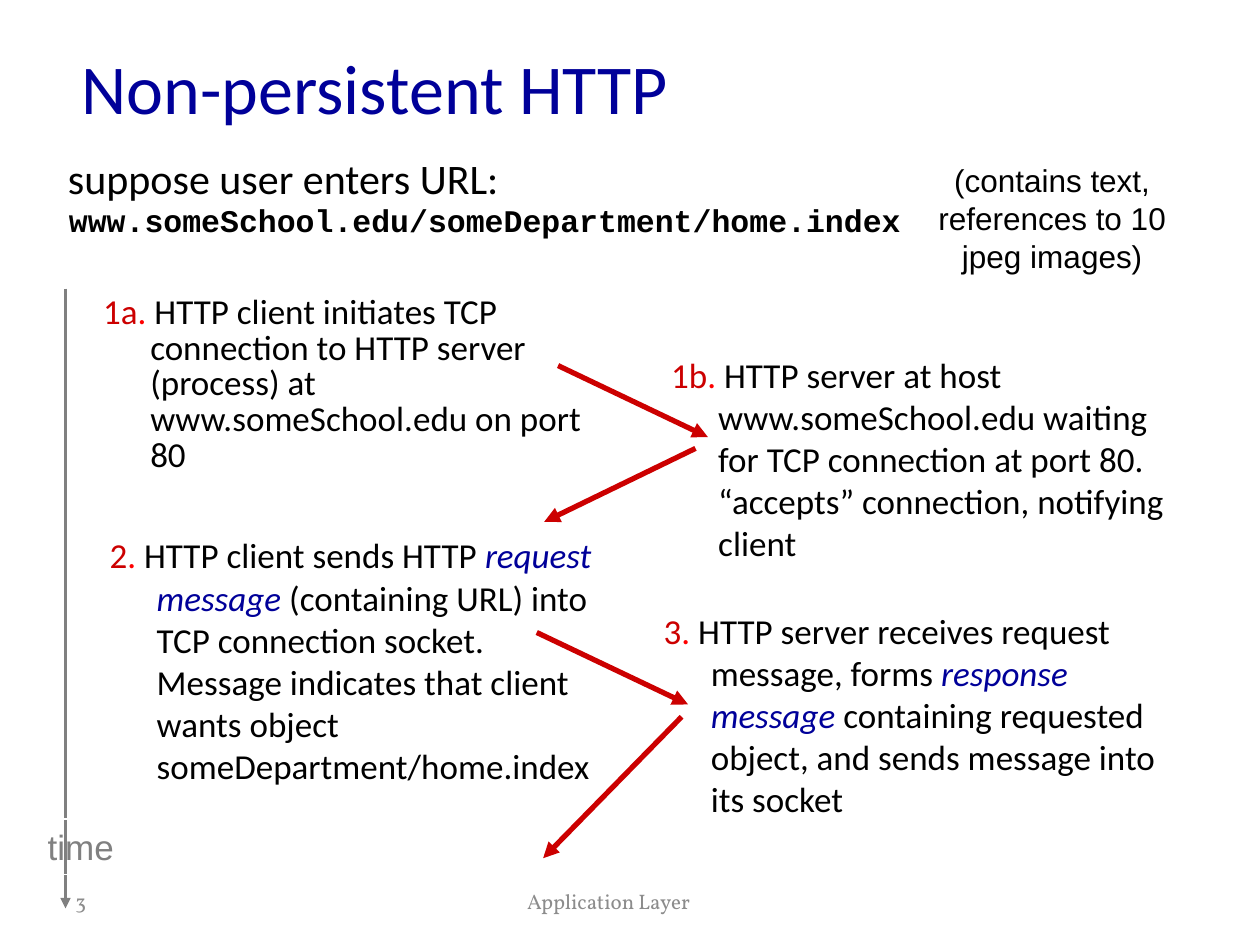
from dataclasses import dataclass

import pptx
import pptx.dml.color
import pptx.enum.shapes
import pptx.enum.text
import pptx.oxml
import pptx.oxml.ns
import pptx.util
from pptx.util import Cm

RGBColor = pptx.dml.color.RGBColor
Align = pptx.enum.text.PP_ALIGN
Anchor = pptx.enum.text.MSO_ANCHOR

BLACK = RGBColor(0x00, 0x00, 0x00)
WHITE = RGBColor(0xFF, 0xFF, 0xFF)
NAVY = RGBColor(0x00, 0x00, 0x99)
CRIMSON = RGBColor(0xCC, 0x00, 0x00)
RED = RGBColor(0xFF, 0x00, 0x00)
GRAY = RGBColor(0x80, 0x80, 0x80)
FOOTER_GRAY = RGBColor(0x8C, 0x8C, 0x8C)

HANGING_INDENT = Cm(0.95)
TIGHT = 0.85


@dataclass(frozen=True)
class Run:
    text: str
    color: RGBColor = BLACK
    italic: bool = False
    bold: bool = False


@dataclass(frozen=True)
class TextBlock:
    """Text with its frame in centimetres; each paragraph is a tuple of runs."""
    left: float
    top: float
    width: float
    height: float
    paragraphs: tuple[tuple[Run, ...], ...]
    size: int = 20
    font: str = "Calibri"
    align: Align = Align.LEFT
    anchor: Anchor = Anchor.TOP
    hanging: bool = False
    line_spacing: float = 1.0
    wrap: bool = True
    outline: RGBColor | None = None


@dataclass(frozen=True)
class Arrow:
    start: tuple[float, float]
    end: tuple[float, float]
    color: RGBColor = CRIMSON
    width: float = 3


def step(label: str, *runs: Run, left: float, top: float, height: float,
         width: float = 10.59, line_spacing: float = 1.0) -> TextBlock:
    """A numbered step: red label, then the description."""
    paragraph = (Run(label, CRIMSON), Run(".", RED), *runs)
    return TextBlock(left, top, width, height, (paragraph,), hanging=True,
                     line_spacing=line_spacing)


def emphasis(text: str) -> Run:
    return Run(text, NAVY, italic=True)


TIME_AXIS = Arrow((1.32, 5.82), (1.32, 18.31), GRAY, 1.5)

MESSAGES = (
    Arrow((11.25, 7.37), (14.27, 8.81)),
    Arrow((14.02, 9.04), (10.97, 10.52)),
    Arrow((10.82, 12.75), (13.87, 14.2)),
    Arrow((13.74, 14.45), (10.95, 17.3)),
)

TEXT_BLOCKS = (
    TextBlock(1.4, 0.53, 21.59, 2.41, ((Run("Non-persistent HTTP", NAVY),),),
              size=40, anchor=Anchor.MIDDLE),
    TextBlock(1.12, 3.1, 22.07, 1.3, ((Run("suppose user enters URL:"),),),
              size=24, hanging=True, line_spacing=TIGHT),
    TextBlock(1.14, 4.04, 22.07, 1.3,
              ((Run("www.someSchool.edu/someDepartment/home.index", bold=True),),),
              size=18, font="Courier New", hanging=True, line_spacing=TIGHT),
    TextBlock(18.57, 3.12, 5.28, 2.54,
              ((Run("(contains text,"),), (Run("references to 10"),),
               (Run("jpeg images)"),)),
              size=18, font="Arial", align=Align.CENTER, wrap=False),
    step("1a", Run(" HTTP client initiates TCP connection to HTTP server (process) "
                   "at www.someSchool.edu on port 80"),
         left=1.83, top=5.84, width=10.95, height=5.28, line_spacing=TIGHT),
    step("1b", Run(" HTTP server at host www.someSchool.edu waiting for TCP "
                   "connection at port 80. “accepts” connection, notifying client"),
         left=13.28, top=7.01, height=4.19),
    step("2", Run(" HTTP client sends HTTP "), emphasis("request message"),
         Run(" (containing URL) into TCP connection socket. Message indicates "
             "that client wants object someDepartment/home.index"),
         left=1.96, top=10.64, height=3),
    step("3", Run(" HTTP server receives request message, forms "),
         emphasis("response message"),
         Run(" containing requested object, and sends message into its socket"),
         left=13.13, top=12.17, height=5),
    TextBlock(0.69, 16.51, 1.88, 1.12, ((Run("time", GRAY),),), font="Arial",
              align=Align.CENTER, wrap=False, outline=WHITE),
    TextBlock(1.27, 17.65, 2.97, 1.02, ((Run("3", FOOTER_GRAY),),),
              size=12, font="Vollkorn", anchor=Anchor.MIDDLE),
    TextBlock(4.65, 17.65, 15.24, 1.02, ((Run("Application Layer", FOOTER_GRAY),),),
              size=12, font="Vollkorn", align=Align.CENTER, anchor=Anchor.MIDDLE),
)


def draw_text(slide: pptx.slide.Slide, block: TextBlock) -> None:
    shape = slide.shapes.add_textbox(Cm(block.left), Cm(block.top),
                                     Cm(block.width), Cm(block.height))
    if block.outline is not None:
        shape.line.color.rgb = block.outline
        shape.line.width = pptx.util.Pt(0.75)
    frame = shape.text_frame
    frame.text = "\n".join("".join(run.text for run in runs)
                           for runs in block.paragraphs)
    frame.word_wrap = block.wrap
    frame.vertical_anchor = block.anchor
    for paragraph, runs in zip(frame.paragraphs, block.paragraphs):
        paragraph.alignment = block.align
        paragraph.line_spacing = block.line_spacing
        if block.hanging:
            properties = paragraph._p.get_or_add_pPr()
            properties.set("marL", str(HANGING_INDENT))
            properties.set("indent", str(-HANGING_INDENT))
        paragraph.clear()
        for content in runs:
            run = paragraph.add_run()
            run.text = content.text
            run.font.name = block.font
            run.font.size = pptx.util.Pt(block.size)
            run.font.color.rgb = content.color
            run.font.italic = content.italic
            run.font.bold = content.bold


def draw_arrow(slide: pptx.slide.Slide, arrow: Arrow) -> None:
    connector = slide.shapes.add_connector(
        pptx.enum.shapes.MSO_CONNECTOR.STRAIGHT,
        *(Cm(value) for value in arrow.start + arrow.end))
    connector.line.color.rgb = arrow.color
    connector.line.width = pptx.util.Pt(arrow.width)
    head = pptx.oxml.parse_xml(
        f'<a:tailEnd {pptx.oxml.ns.nsdecls("a")} type="triangle"/>')
    connector.line._get_or_add_ln().append(head)
    no_effects = pptx.oxml.parse_xml(f'<a:effectLst {pptx.oxml.ns.nsdecls("a")}/>')
    connector._element.spPr.append(no_effects)


def main() -> None:
    presentation = pptx.Presentation()
    presentation.slide_width = Cm(25.4)
    presentation.slide_height = Cm(19.05)
    slide = presentation.slides.add_slide(presentation.slide_layouts[6])
    draw_arrow(slide, TIME_AXIS)
    for block in TEXT_BLOCKS:
        draw_text(slide, block)
    for message in MESSAGES:
        draw_arrow(slide, message)
    presentation.save("out.pptx")


if __name__ == "__main__":
    main()
